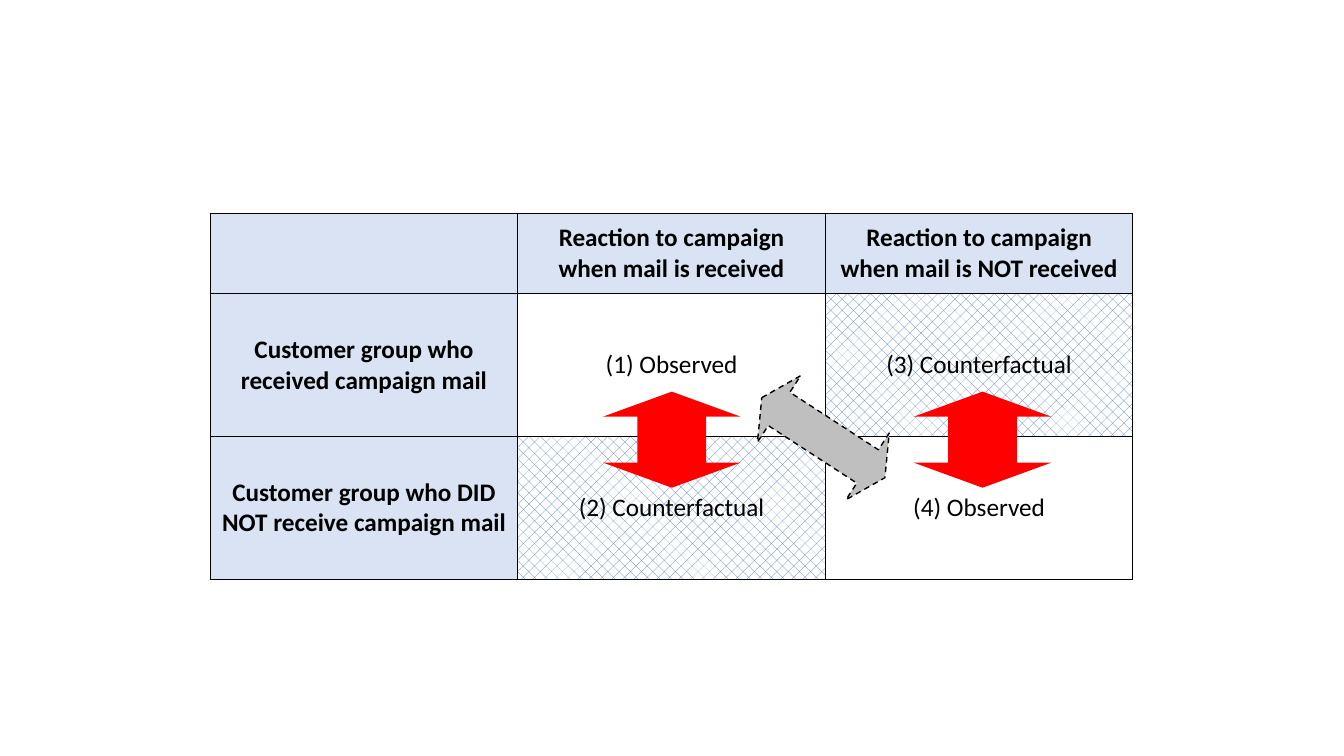
import pptx
import pptx.util
import pptx.dml.color
import pptx.enum.dml
import pptx.enum.shapes
import pptx.enum.text
import pptx.oxml
import pptx.oxml.ns

Cm = pptx.util.Cm
Pt = pptx.util.Pt
RGBColor = pptx.dml.color.RGBColor

BLACK = RGBColor(0x00, 0x00, 0x00)
WHITE = RGBColor(0xFF, 0xFF, 0xFF)
PALE_BLUE = RGBColor(0xDA, 0xE3, 0xF3)
HATCH_BLUE = RGBColor(0x44, 0x72, 0xC4)
RED = RGBColor(0xFF, 0x00, 0x00)
GREY = RGBColor(0xBF, 0xBF, 0xBF)


def apply(target, values):
    for name, value in values.items():
        setattr(target, name, value)


class Page:
    """Holds the current slide and its style."""

    text_style = {"name": "Calibri", "size": Pt(18)}
    line_width = Pt(1)

    def __init__(self, deck):
        self.slide = deck.slides.add_slide(deck.slide_layouts[6])

    def add_borders(self, cell):
        properties = cell._tc.get_or_add_tcPr()
        for side in ("lnL", "lnR", "lnT", "lnB"):
            properties.append(pptx.oxml.parse_xml(
                f'<a:{side} {pptx.oxml.ns.nsdecls("a")} w="{self.line_width}">'
                f'<a:solidFill><a:srgbClr val="{BLACK}"/></a:solidFill></a:{side}>'))

    def fill_cell(self, cell, is_header, is_counterfactual):
        if is_header:
            cell.fill.solid()
            cell.fill.fore_color.rgb = PALE_BLUE
        elif is_counterfactual:
            cell.fill.patterned()
            cell.fill.pattern = pptx.enum.dml.MSO_PATTERN.PERCENT_25
            cell.fill.fore_color.rgb = HATCH_BLUE
            cell.fill.back_color.rgb = WHITE
        else:
            cell.fill.background()

    def add_table(self, rows, left, top, column_width, row_heights):
        columns = len(rows[0])
        table = self.slide.shapes.add_table(
            len(rows), columns, left, top,
            column_width * columns, sum(row_heights)).table
        apply(table, {"first_row": False, "horz_banding": False})
        for column in table.columns:
            column.width = column_width
        for row_index, texts in enumerate(rows):
            table.rows[row_index].height = row_heights[row_index]
            for column_index, text in enumerate(texts):
                cell = table.cell(row_index, column_index)
                is_header = row_index == 0 or column_index == 0
                self.add_borders(cell)
                self.fill_cell(cell, is_header, "Counterfactual" in text)
                cell.vertical_anchor = pptx.enum.text.MSO_ANCHOR.MIDDLE
                para = cell.text_frame.paragraphs[0]
                para.alignment = pptx.enum.text.PP_ALIGN.CENTER
                apply(para.font, self.text_style)
                if text:
                    span = para.add_run()
                    span.text = text
                    apply(span.font, {**self.text_style, "bold": is_header})
                    span.font.color.rgb = BLACK

    def add_double_arrow(self, left, top, width, height, rotation, color, dashed=False):
        arrow = self.slide.shapes.add_shape(
            pptx.enum.shapes.MSO_SHAPE.LEFT_RIGHT_ARROW, left, top, width, height)
        arrow.shadow.inherit = False
        arrow.rotation = rotation
        arrow.adjustments[0] = 0.5
        arrow.adjustments[1] = 0.26
        arrow.fill.solid()
        arrow.fill.fore_color.rgb = color
        if dashed:
            arrow.line.color.rgb = BLACK
            apply(arrow.line, {"width": self.line_width,
                               "dash_style": pptx.enum.dml.MSO_LINE.DASH})
        else:
            arrow.line.fill.background()


deck = pptx.Presentation()
apply(deck, {"slide_width": Cm(33.87), "slide_height": Cm(19.05)})
page = Page(deck)

# Customer groups against reactions
page.add_table(
    [["", "Reaction to campaign when mail is received",
      "Reaction to campaign when mail is NOT received"],
     ["Customer group who received campaign mail",
      "(1) Observed", "(3) Counterfactual"],
     ["Customer group who DID NOT receive campaign mail",
      "(2) Counterfactual", "(4) Observed"]],
    Cm(5.3), Cm(5.38), Cm(7.75), [Cm(2.02), Cm(3.6), Cm(3.6)])

# Comparisons within each reaction
for left in (Cm(15.72), Cm(23.55)):
    page.add_double_arrow(left, Cm(9.35), Cm(2.42), Cm(3.46), 90, RED)

# Comparison of the two observed cells
page.add_double_arrow(Cm(18.9), Cm(10.03), Cm(3.7), Cm(2), 33, GREY, dashed=True)

deck.save("out.pptx")
